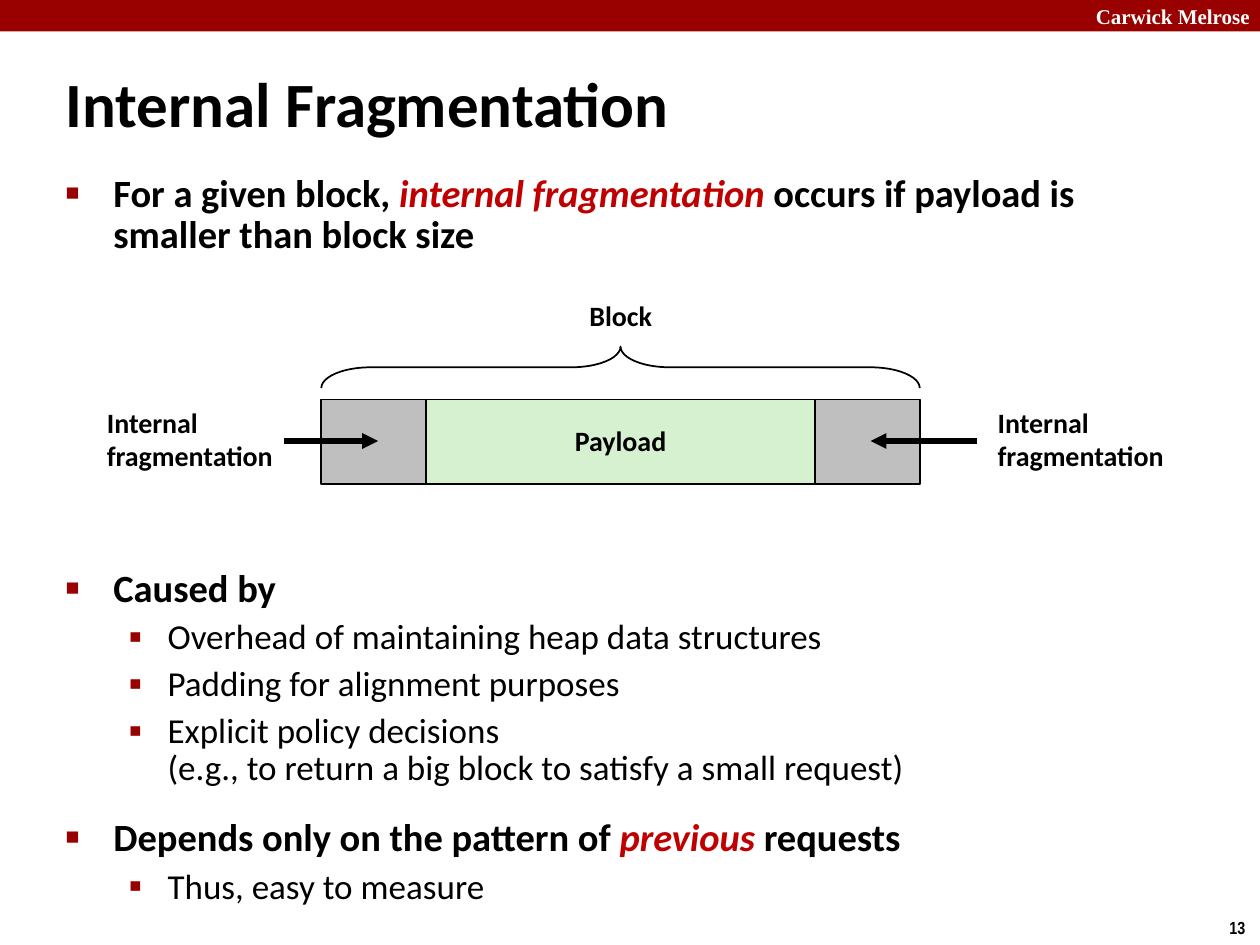
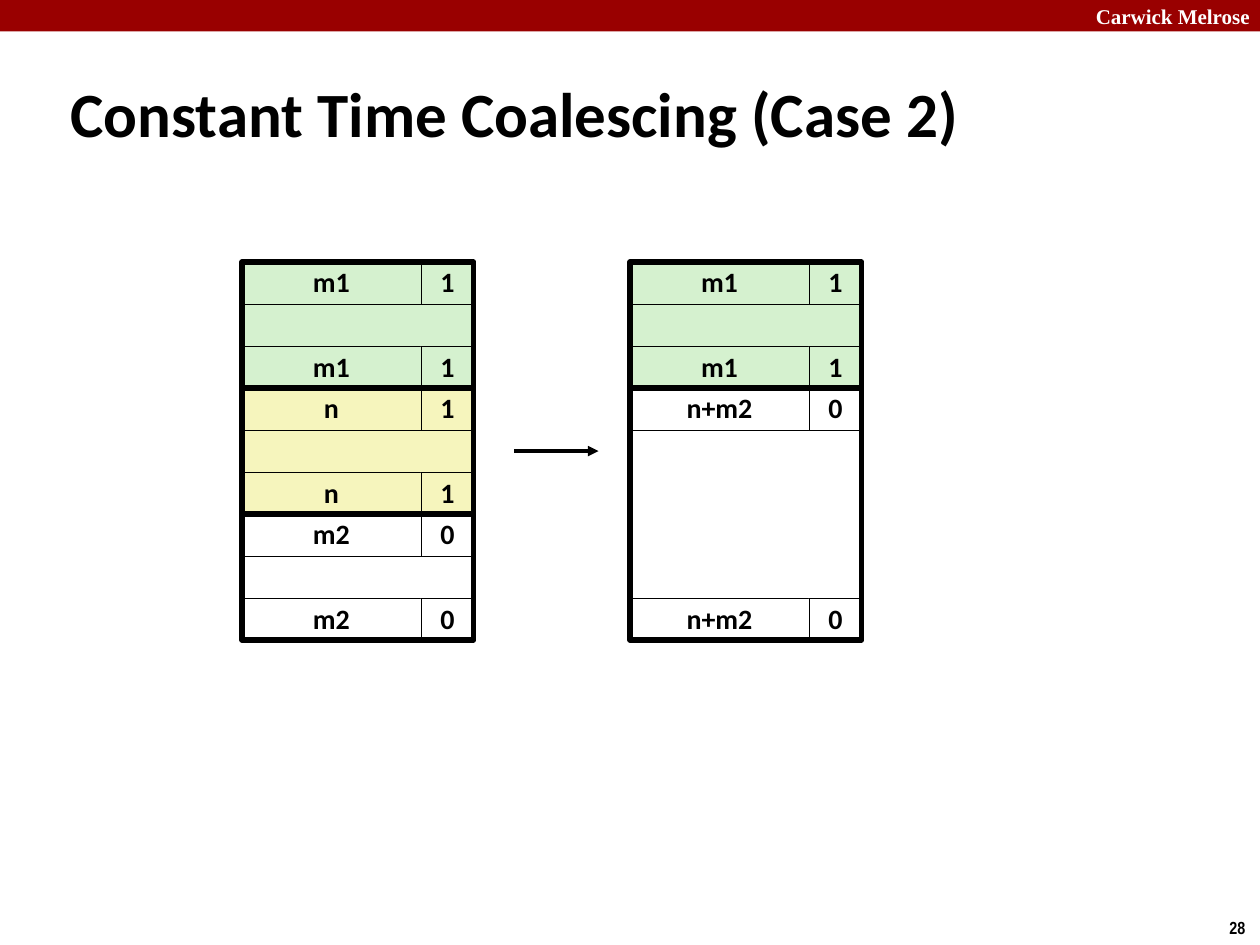
from copy import deepcopy
from dataclasses import dataclass

from lxml import etree
from pptx import Presentation
from pptx.dml.color import RGBColor as RGB
from pptx.enum.shapes import MSO_CONNECTOR as CONN, MSO_SHAPE as SHAPE
from pptx.enum.text import MSO_ANCHOR as ANCHOR, MSO_AUTO_SIZE as FIT, PP_ALIGN as ALIGN
from pptx.oxml.ns import qn
from pptx.util import Inches, Pt


@dataclass(frozen=True)
class Theme:
    black: str = "000000"
    white: str = "FFFFFF"
    band: str = "990000"
    emphasis: str = "C00000"
    green: str = "D5F1CF"
    yellow: str = "F6F5BD"
    gray: str = "BFBFBF"
    font: str = "Calibri"
    band_font: str = "Times New Roman"
    number_font: str = "Arial Narrow"
    title_size: int = 36
    label_size: int = 16
    band_size: int = 12
    number_size: int = 10
    hairline: float = 0.25
    thin: float = 1
    medium: float = 2
    thick: float = 3


T = Theme()
BAND_TEXT = "Carwick Melrose"
LAYOUT_BODY, LAYOUT_TITLE_ONLY = 1, 5

# One entry per list level: text size, weight, indent and bullet
LEVELS = [
    dict(size=22, bold=True, margin=0.38, hang=0.38, char="■", scale=60),
    dict(size=20, bold=False, margin=0.81, hang=0.31, char="▪", scale=110),
]

ROW_H, TAG_W, FLAG_W = 1 / 3, 1.42, 0.42
HEAP_TOP = 2.08


def set_attrs(obj, **values):
    for name, value in values.items():
        setattr(obj, name, value)


def set_box(sp, box):
    set_attrs(sp, **dict(zip(("left", "top", "width", "height"), map(Inches, box))))


def add_run(p, text, size, font=T.font, color=T.black, bold=True, italic=False):
    r = p.add_run()
    r.text = text
    set_attrs(r.font, name=font, size=Pt(size), bold=bold, italic=italic)
    r.font.color.rgb = RGB.from_string(color)
    return r


def add_box(slide, box, fill=None, line=None, weight=T.thin, shape=SHAPE.RECTANGLE):
    sp = slide.shapes.add_shape(shape, *map(Inches, box))
    sp.shadow.inherit = False
    if fill:
        sp.fill.solid()
        sp.fill.fore_color.rgb = RGB.from_string(fill)
    else:
        sp.fill.background()
    if line:
        sp.line.color.rgb = RGB.from_string(line)
        sp.line.width = Pt(weight)
    else:
        sp.line.fill.background()
    return sp


def add_cell(slide, box, fill, text="", weight=T.thin):
    """Outlined rectangle with an optional centred label."""
    sp = add_box(slide, box, fill, T.black, weight)
    if text:
        set_attrs(sp.text_frame, word_wrap=False, vertical_anchor=ANCHOR.MIDDLE)
        p = sp.text_frame.paragraphs[0]
        set_attrs(p, alignment=ALIGN.CENTER, line_spacing=0.98)
        add_run(p, text, T.label_size)


def add_label(slide, box, *lines, size=T.label_size, font=T.font, spacing=0.98):
    tf = slide.shapes.add_textbox(*map(Inches, box)).text_frame
    tf.word_wrap = False
    for i, line in enumerate(lines):
        p = tf.add_paragraph() if i else tf.paragraphs[0]
        p.line_spacing = spacing
        add_run(p, line, size, font)


def add_arrow(slide, start, end, weight):
    ends = map(Inches, (*start, *end))
    cxn = slide.shapes.add_connector(CONN.STRAIGHT, *ends)
    cxn.line.color.rgb = RGB.from_string(T.black)
    cxn.line.width = Pt(weight)
    etree.SubElement(cxn.line._get_or_add_ln(), qn("a:tailEnd"), type="triangle")
    etree.SubElement(cxn._element.spPr, qn("a:effectLst"))


def add_bullet(p, level):
    pPr = p._p.get_or_add_pPr()
    pPr.set("marL", str(Inches(level["margin"])))
    pPr.set("indent", str(-Inches(level["hang"])))
    color = etree.SubElement(pPr, qn("a:buClr"))
    etree.SubElement(color, qn("a:srgbClr"), val=T.band)
    etree.SubElement(pPr, qn("a:buSzPct"), val=str(level["scale"] * 1000))
    etree.SubElement(pPr, qn("a:buChar"), char=level["char"])


def add_item(tf, first, depth, parts, before=5.6):
    """Add a list item; parts marked with * are emphasised, "\\n" breaks the line."""
    level = LEVELS[depth]
    p = tf.paragraphs[0] if first else tf.add_paragraph()
    set_attrs(p, level=depth, line_spacing=0.88, space_before=Pt(before))
    add_bullet(p, level)
    style = dict(size=level["size"], bold=level["bold"])
    for part in parts:
        if part == "\n":
            br = p._p.add_br()
            br.append(deepcopy(p.runs[-1]._r.rPr))
        elif part.startswith("*"):
            add_run(p, part[1:], color=T.emphasis, italic=True, **style)
        else:
            add_run(p, part, **style)


def fill_body(slide, box, items):
    sp = slide.placeholders[1]
    set_box(sp, box)
    tf = sp.text_frame
    set_attrs(tf, auto_size=FIT.NONE, word_wrap=True, vertical_anchor=ANCHOR.TOP)
    for i, item in enumerate(items):
        add_item(tf, i == 0, *item)


def add_slide(prs, layout, title, title_box, number):
    """Add a slide with the shared band, page number and title style."""
    slide = prs.slides.add_slide(prs.slide_layouts[layout])
    band = add_box(slide, (0, 0, 10, 0.25), T.band)
    set_attrs(band.text_frame, vertical_anchor=ANCHOR.MIDDLE, margin_top=0,
              margin_bottom=0, margin_right=Inches(0.08))
    p = band.text_frame.paragraphs[0]
    p.alignment = ALIGN.RIGHT
    add_run(p, BAND_TEXT, T.band_size, T.band_font, T.white)
    add_label(slide, (9.66, 7.23, 0.34, 0.27), str(number),
              size=T.number_size, font=T.number_font, spacing=1.0)

    sp = slide.shapes.title
    set_box(sp, title_box)
    set_attrs(sp.text_frame, auto_size=FIT.NONE, word_wrap=True,
              vertical_anchor=ANCHOR.MIDDLE)
    p = sp.text_frame.paragraphs[0]
    p.alignment = ALIGN.LEFT
    add_run(p, title, T.title_size)
    return slide


def add_heap_block(slide, left, row, rows, size, flag, fill):
    """Header and footer tags around a payload, inside a heavy outline."""
    def row_top(n):
        return HEAP_TOP + n * ROW_H

    width = TAG_W + FLAG_W
    payload = (left, row_top(row + 1), width, (rows - 2) * ROW_H)
    add_cell(slide, payload, fill, weight=T.hairline)
    for tag_row in (row, row + rows - 1):
        top = row_top(tag_row)
        add_cell(slide, (left, top, TAG_W, ROW_H), fill, size, T.hairline)
        add_cell(slide, (left + TAG_W, top, FLAG_W, ROW_H), fill, flag, T.hairline)
    outline = (left, row_top(row), width, rows * ROW_H)
    add_box(slide, outline, line=T.black, weight=T.thick)


def add_heap(slide, left, blocks):
    row = 0
    for rows, *block in blocks:
        add_heap_block(slide, left, row, rows, *block)
        row += rows


def build_fragmentation(prs):
    slide = add_slide(prs, LAYOUT_BODY, "Internal Fragmentation",
                      (0.42, 0.5, 7.36, 0.63), 13)
    fill_body(slide, (0.42, 1.34, 9.09, 5.91), [
        (0, ["For a given block, ", "*internal fragmentation ",
             "occurs if payload is smaller than block size"]),
        (0, ["Caused by"], 179),
        (1, ["Overhead of maintaining heap data structures"]),
        (1, ["Padding for alignment purposes"]),
        (1, ["Explicit policy decisions", "\n",
             "(e.g., to return a big block to satisfy a small request)"]),
        (0, ["Depends only on the pattern of ", "*previous", " requests"], 18),
        (1, ["Thus, easy to measure"]),
    ])

    left, top, height = 2.55, 3.17, 0.67
    for width, fill, text in [(0.83, T.gray, ""), (3.09, T.green, "Payload"),
                              (0.83, T.gray, "")]:
        add_cell(slide, (left, top, width, height), fill, text)
        left += width

    brace = add_box(slide, (4.76, 0.54, 0.33, 4.75), line=T.black,
                    shape=SHAPE.RIGHT_BRACE)
    brace.rotation = 270
    brace.adjustments[0] = 1.19
    add_label(slide, (4.58, 2.33, 0.7, 0.37), "Block")
    for label_left, start, end in [(0.75, 2.25, 3), (7.82, 7.75, 6.91)]:
        add_label(slide, (label_left, 3.18, 1.53, 0.63), "Internal", "fragmentation")
        add_arrow(slide, (start, 3.5), (end, 3.5), T.thick)


def build_coalescing(prs):
    slide = add_slide(prs, LAYOUT_TITLE_ONLY, "Constant Time Coalescing (Case 2)",
                      (0.46, 0.58, 9.08, 0.63), 28)
    previous = (3, "m1", "1", T.green)
    add_heap(slide, 1.92, [previous, (3, "n", "1", T.yellow), (3, "m2", "0", T.white)])
    add_heap(slide, 5, [previous, (6, "n+m2", "0", T.white)])
    add_arrow(slide, (4.08, 3.58), (4.75, 3.58), T.medium)


def main():
    prs = Presentation()
    set_attrs(prs, slide_width=Inches(10), slide_height=Inches(7.5))
    build_fragmentation(prs)
    build_coalescing(prs)
    prs.save("out.pptx")


if __name__ == "__main__":
    main()
